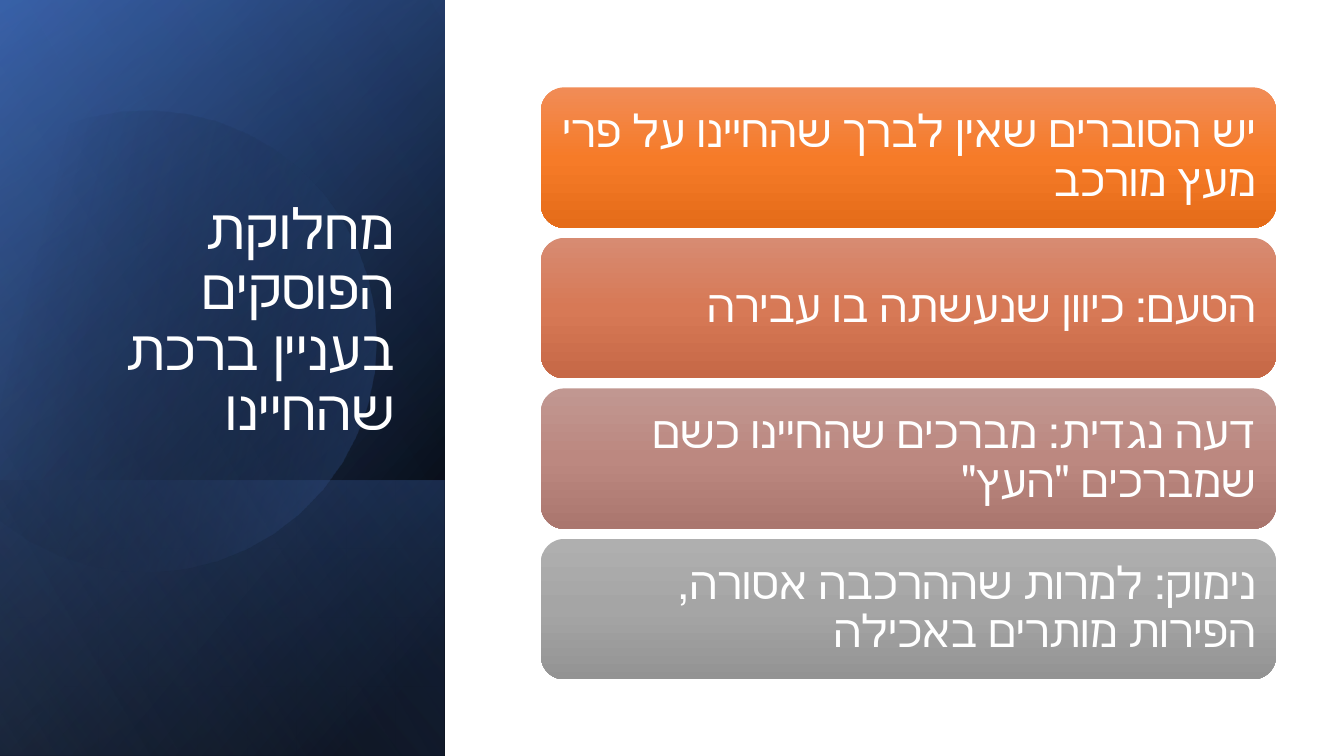
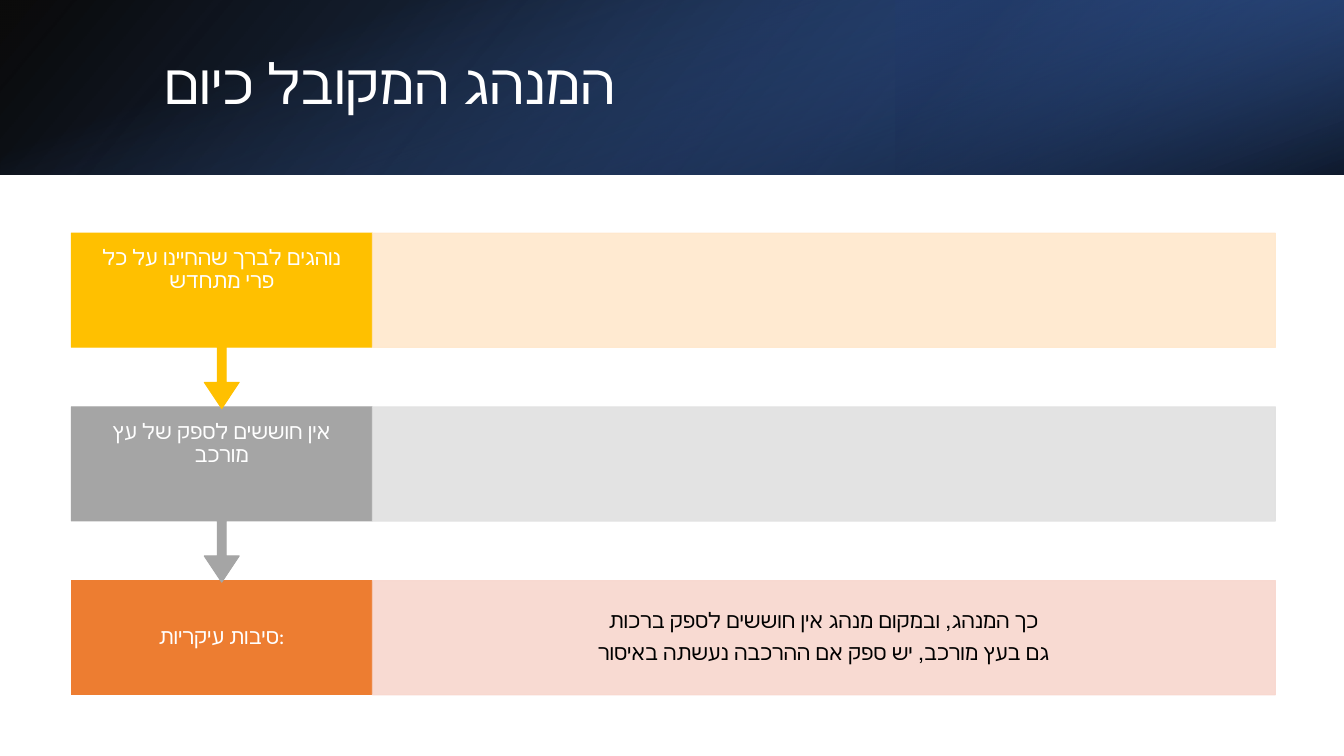
"""Build two slides on the dispute over a blessing and the custom accepted today."""
from dataclasses import dataclass
from math import cos, radians, sin
from typing import NamedTuple

from lxml import etree
from pptx import Presentation
from pptx.dml.color import RGBColor
from pptx.enum.shapes import MSO_SHAPE
from pptx.enum.text import MSO_ANCHOR, PP_ALIGN
from pptx.oxml.ns import qn
from pptx.util import Emu, Pt

RECT = MSO_SHAPE.RECTANGLE
ROUNDED = MSO_SHAPE.ROUNDED_RECTANGLE
CALLOUT = MSO_SHAPE.DOWN_ARROW_CALLOUT
LEFT, CENTER, RIGHT = PP_ALIGN.LEFT, PP_ALIGN.CENTER, PP_ALIGN.RIGHT
MIDDLE, BOTTOM = MSO_ANCHOR.MIDDLE, MSO_ANCHOR.BOTTOM
EMU_PER_PX = 9144
SLIDE_W, SLIDE_H = 2000, 1125


@dataclass(frozen=True)
class Theme:
    font: str = "Calibri"
    title_size: int = 60
    opinion_size: int = 48
    step_size: int = 23
    light: str = "FFFFFF"
    dark: str = "000000"
    blue: str = "4472C4"
    deep_blue: str = "2F5597"
    navy: str = "203864"
    pale_blue: str = "8FAADC"
    yellow: str = "FFC000"
    grey: str = "A5A5A5"
    orange: str = "ED7D31"
    pale_yellow: str = "FFE8CC"
    pale_grey: str = "E1E1E1"
    pale_orange: str = "F8D7CE"


THEME = Theme()


class Box(NamedTuple):
    left: float
    top: float
    width: float
    height: float


class Insets(NamedTuple):
    left: int
    top: int
    right: int
    bottom: int


class Stop(NamedTuple):
    position: int
    color: str
    alpha: int = 100


@dataclass(frozen=True)
class Wash:
    area: Box
    angle: int
    stops: tuple[Stop, ...]
    rotation: int = 90
    flipped: bool = True


@dataclass(frozen=True)
class Opinion:
    text: str
    shades: tuple[str, str, str]


@dataclass(frozen=True)
class Step:
    label: str
    color: str
    pale: str
    reasons: str = ""


TITLE_INSETS = Insets(20, 10, 20, 10)
OPINION_INSETS = Insets(20, 20, 20, 20)
LABEL_INSETS = Insets(32, 18, 32, 18)
ARROW_LABEL_INSETS = Insets(32, 18, 32, 78)
REASON_INSETS = Insets(27, 32, 27, 32)

SIDE_PANEL = Box(0, 0, 662, SLIDE_H)
SIDE_FOOT = Box(0, 715, 662, 410)
TOP_BAND = Box(0, 0, SLIDE_W, 259)
BAND_END = Box(1333, 0, 667, 259)

SIDE_WASHES = (
    Wash(SIDE_PANEL, 50, (Stop(8, THEME.dark), Stop(100, THEME.deep_blue))),
    Wash(SIDE_PANEL, 30, (Stop(0, THEME.dark, 0), Stop(99, THEME.blue, 46))),
    Wash(SIDE_FOOT, 130, (Stop(2, THEME.blue, 29), Stop(100, THEME.dark, 30))),
)
SIDE_GLOSS = Wash(SIDE_PANEL, 120, (Stop(0, THEME.dark, 0), Stop(99, THEME.pale_blue, 11)))
DISC_STOPS = (Stop(29, THEME.dark, 0), Stop(100, THEME.blue, 43))
BAND_WASHES = (
    Wash(TOP_BAND, 140, (Stop(0, THEME.dark, 96), Stop(100, THEME.deep_blue)), rotation=0),
    Wash(BAND_END, 320, (Stop(19, THEME.navy, 68), Stop(100, THEME.blue, 79)), rotation=180),
    Wash(TOP_BAND, 340, (Stop(23, THEME.blue, 0), Stop(99, THEME.dark, 74)), flipped=False),
)

OPINIONS = (
    Opinion("יש הסוברים שאין לברך שהחיינו על פרי מעץ מורכב", ("F18C57", "F67B28", "E56C19")),
    Opinion("הטעם: כיוון שנעשתה בו עבירה", ("D78B72", "D77956", "C66846")),
    Opinion('דעה נגדית: מברכים שהחיינו כשם שמברכים "העץ"', ("C19791", "BC8880", "AA766E")),
    Opinion("נימוק: למרות שההרכבה אסורה, הפירות מותרים באכילה", ("AFAFAF", "A5A5A5", "939393")),
)
STEPS = (
    Step("נוהגים לברך שהחיינו על כל פרי מתחדש", THEME.yellow, THEME.pale_yellow),
    Step("אין חוששים לספק של עץ מורכב", THEME.grey, THEME.pale_grey),
    Step(
        "סיבות עיקריות:",
        THEME.orange,
        THEME.pale_orange,
        "כך המנהג, ובמקום מנהג אין חוששים לספק ברכות\n"
        "גם בעץ מורכב, יש ספק אם ההרכבה נעשתה באיסור",
    ),
)


def px(length: float) -> Emu:
    """Turn px into EMU."""
    return Emu(round(length * EMU_PER_PX))


def add_alpha(color_element, percent: int) -> None:
    """Set the opacity of a colour element."""
    etree.SubElement(color_element, qn("a:alpha"), val=str(percent * 1000))


def fill_gradient(shape, stops: tuple[Stop, ...], angle: int) -> None:
    """Fill a shape with a linear gradient at a clockwise angle."""
    shape.shadow.inherit = False
    shape.line.fill.background()
    shape.fill.gradient()
    shape.fill.gradient_angle = (360 - angle) % 360
    stop_list = shape.element.spPr.find(qn("a:gradFill")).find(qn("a:gsLst"))
    for old_stop in list(stop_list):
        stop_list.remove(old_stop)
    for stop in stops:
        entry = etree.SubElement(stop_list, qn("a:gs"), pos=str(stop.position * 1000))
        color = etree.SubElement(entry, qn("a:srgbClr"), val=stop.color)
        if stop.alpha < 100:
            add_alpha(color, stop.alpha)


def fill_solid(shape, color: str, alpha: int = 100) -> None:
    """Fill and outline a shape in one colour."""
    shape.shadow.inherit = False
    shape.fill.solid()
    shape.fill.fore_color.rgb = RGBColor.from_string(color)
    shape.line.color.rgb = RGBColor.from_string(color)
    shape.line.width = Pt(1)
    if alpha < 100:
        for color_element in shape.element.spPr.findall(".//" + qn("a:srgbClr")):
            add_alpha(color_element, alpha)


def add_box(slide, kind, box: Box):
    """Add a preset shape."""
    return slide.shapes.add_shape(kind, *map(px, box))


def write_text(shape, text: str, *, size: int, insets: Insets, color: str = THEME.light,
               align=CENTER, anchor=MIDDLE, rtl: bool = False, gap: int = 0) -> None:
    """Write one paragraph per line of text in a shape."""
    frame = shape.text_frame
    frame.word_wrap = True
    frame.vertical_anchor = anchor
    frame.margin_left, frame.margin_top, frame.margin_right, frame.margin_bottom = map(px, insets)
    for index, line in enumerate(text.split("\n")):
        paragraph = frame.add_paragraph() if index else frame.paragraphs[0]
        paragraph.alignment = align
        paragraph.line_spacing = 0.9
        paragraph.space_after = Pt(gap)
        if rtl:
            paragraph._p.get_or_add_pPr().set("rtl", "1")
        run = paragraph.add_run()
        run.text = line
        run.font.size = Pt(size)
        run.font.name = THEME.font
        run.font.color.rgb = RGBColor.from_string(color)


def add_title(slide, text: str, box: Box, align, anchor) -> None:
    """Add a slide title."""
    title = slide.shapes.add_textbox(*map(px, box))
    write_text(title, text, size=THEME.title_size, insets=TITLE_INSETS, align=align, anchor=anchor)


def add_wash(slide, wash: Wash) -> None:
    """Cover an area with a gradient, turning its frame if needed."""
    left, top, width, height = wash.area
    if wash.rotation == 90:
        left, top = left + (width - height) / 2, top + (height - width) / 2
        width, height = height, width
    shape = add_box(slide, RECT, Box(left, top, width, height))
    shape.rotation = wash.rotation
    if wash.flipped:
        shape.element.spPr.xfrm.set("flipH", "1")
    fill_gradient(shape, wash.stops, wash.angle)


def add_disc(slide) -> None:
    """Add the tilted disc cut by a chord on its left side."""
    center_x, center_y, radius, tilt, half_arc, stride = 216, 502, 343, 16.1, 136, 8
    points = [
        (px(center_x + radius * cos(radians(degree + tilt))),
         px(center_y + radius * sin(radians(degree + tilt))))
        for degree in range(-half_arc, half_arc + 1, stride)
    ]
    builder = slide.shapes.build_freeform(*points[0])
    builder.add_line_segments(points[1:], close=True)
    disc = builder.convert_to_shape()
    disc.rotation = 360 - tilt
    fill_gradient(disc, DISC_STOPS, 30)


def add_opinion(slide, opinion: Opinion, row: int) -> None:
    """Add one opinion bar."""
    bar = add_box(slide, ROUNDED, Box(805, 130 + 224 * row, 1094, 209))
    stops = tuple(Stop(50 * index, shade) for index, shade in enumerate(opinion.shades))
    fill_gradient(bar, stops, 90)
    write_text(bar, opinion.text, size=THEME.opinion_size, insets=OPINION_INSETS,
               align=RIGHT, rtl=True, gap=19)


def add_step(slide, step: Step, row: int) -> None:
    """Add one step with its label and its reasons strip."""
    top = 347 + 517 * row / 2
    if row < len(STEPS) - 1:
        label = add_box(slide, CALLOUT, Box(106, top, 448, 261))
        for index, share in enumerate((0.05, 0.1, 0.15, 0.65)):
            label.adjustments[index] = share
        insets = ARROW_LABEL_INSETS
    else:
        label = add_box(slide, RECT, Box(106, top, 448, 170))
        insets = LABEL_INSETS
    fill_solid(label, step.color)
    write_text(label, step.label, size=THEME.step_size, insets=insets, gap=9)
    strip = add_box(slide, RECT, Box(554, top, 1344, 170))
    fill_solid(strip, step.pale, alpha=90)
    if step.reasons:
        write_text(strip, step.reasons, size=THEME.step_size, insets=REASON_INSETS,
                   color=THEME.dark, rtl=True, gap=9)


def build_dispute(slide) -> None:
    """Draw the slide on the dispute."""
    for wash in SIDE_WASHES:
        add_wash(slide, wash)
    add_disc(slide)
    add_wash(slide, SIDE_GLOSS)
    add_title(slide, "מחלוקת הפוסקים בעניין ברכת שהחיינו", Box(96, 276, 511, 393), RIGHT, BOTTOM)
    for row, opinion in enumerate(OPINIONS):
        add_opinion(slide, opinion, row)


def build_custom(slide) -> None:
    """Draw the slide on the custom, last step first so that arrows overlap it."""
    for wash in BAND_WASHES:
        add_wash(slide, wash)
    add_title(slide, "המנהג המקובל כיום", Box(225, 57, 1648, 144), LEFT, MIDDLE)
    for row, step in reversed(list(enumerate(STEPS))):
        add_step(slide, step, row)


def main() -> None:
    """Build and save the presentation."""
    deck = Presentation()
    deck.slide_width, deck.slide_height = px(SLIDE_W), px(SLIDE_H)
    blank = deck.slide_layouts[6]
    for build in (build_dispute, build_custom):
        build(deck.slides.add_slide(blank))
    deck.save("out.pptx")


if __name__ == "__main__":
    main()
